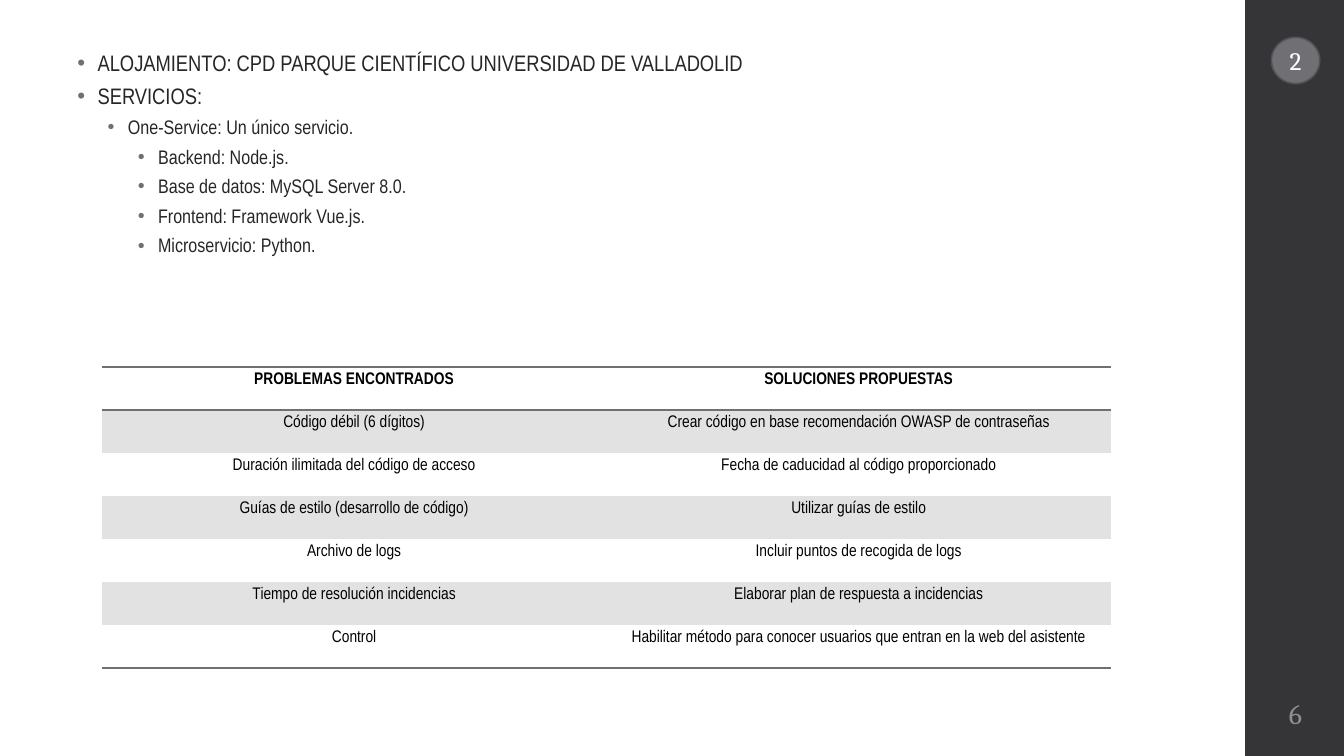
from typing import NamedTuple

from lxml import etree
from pptx import Presentation
from pptx.dml.color import RGBColor
from pptx.enum.shapes import MSO_SHAPE
from pptx.enum.text import MSO_ANCHOR, PP_ALIGN
from pptx.oxml.ns import qn
from pptx.util import Inches, Pt

CENTER = PP_ALIGN.CENTER
MIDDLE = MSO_ANCHOR.MIDDLE
RECTANGLE = MSO_SHAPE.RECTANGLE
OVAL = MSO_SHAPE.OVAL

SANS, SERIF = "Arial Narrow", "Cambria"
GREY, DARK, BAND = "6F6F74", "353537", "E2E2E2"
NO_GRID_STYLE = "{2D5ABB26-0587-4C30-8999-92F81FD0307C}"


class Bullet(NamedTuple):
    text: str
    level: int
    size: int


class Finding(NamedTuple):
    problem: str
    solution: str


BULLETS = [
    Bullet("ALOJAMIENTO: CPD PARQUE CIENTÍFICO UNIVERSIDAD DE VALLADOLID", 1, 16),
    Bullet("SERVICIOS:", 1, 16),
    Bullet("One-Service: Un único servicio.", 2, 14),
    Bullet("Backend: Node.js.", 3, 14),
    Bullet("Base de datos: MySQL Server 8.0.", 3, 14),
    Bullet("Frontend: Framework Vue.js.", 3, 14),
    Bullet("Microservicio: Python.", 3, 14),
]

FINDINGS = [
    Finding("PROBLEMAS ENCONTRADOS", "SOLUCIONES PROPUESTAS"),
    Finding("Código débil (6 dígitos)",
            "Crear código en base recomendación OWASP de contraseñas"),
    Finding("Duración ilimitada del código de acceso",
            "Fecha de caducidad al código proporcionado"),
    Finding("Guías de estilo (desarrollo de código)", "Utilizar guías de estilo"),
    Finding("Archivo de logs", "Incluir puntos de recogida de logs"),
    Finding("Tiempo de resolución incidencias",
            "Elaborar plan de respuesta a incidencias"),
    Finding("Control",
            "Habilitar método para conocer usuarios que entran en la web del asistente"),
]


def rgb(value: str) -> RGBColor:
    return RGBColor.from_string(value)


def set_font(para, name: str, size: float, color: str, bold: bool = False) -> None:
    font = para.font
    font.name, font.size, font.bold = name, Pt(size), bold
    font.color.rgb = rgb(color)


def add_filled_shape(page, kind, left: float, top: float, width: float,
                     height: float, fill: str):
    shape = page.shapes.add_shape(kind, Inches(left), Inches(top),
                                  Inches(width), Inches(height))
    shape.shadow.inherit = False
    shape.fill.solid()
    shape.fill.fore_color.rgb = rgb(fill)
    shape.line.fill.background()
    return shape


def write_number(frame, text: str, size: float, color: str) -> None:
    """Center a number in its frame, with narrow margins."""
    frame.word_wrap = True
    frame.vertical_anchor = MIDDLE
    frame.margin_left = frame.margin_right = Inches(0.05)
    para = frame.paragraphs[0]
    para.text = text
    para.alignment = CENTER
    set_font(para, SERIF, size, color)


def add_sidebar(page) -> None:
    add_filled_shape(page, RECTANGLE, 12.35, 0, 1, 7.5, DARK)
    box = page.shapes.add_textbox(Inches(12.35), Inches(6.75), Inches(1), Inches(0.65))
    write_number(box.text_frame, "6", 20, "8E8E94")
    badge = add_filled_shape(page, OVAL, 12.61, 0.37, 0.48, 0.46, GREY)
    badge.line.color.rgb = rgb("525256")
    badge.line.width = Pt(1.1)
    write_number(badge.text_frame, "2", 18, "FFFFFF")


def set_bullet(para, level: int) -> None:
    properties = para._p.get_or_add_pPr()
    properties.set("marL", str(Inches(0.2 + 0.3 * level)))
    properties.set("indent", str(Inches(-0.2)))
    color = etree.SubElement(properties, qn("a:buClr"))
    etree.SubElement(color, qn("a:srgbClr"), val=GREY)
    etree.SubElement(properties, qn("a:buFont"), typeface="Arial")
    etree.SubElement(properties, qn("a:buChar"), char="•")


def add_bullets(page) -> None:
    box = page.shapes.add_textbox(Inches(0.37), Inches(0.47), Inches(11.3), Inches(2.72))
    frame = box.text_frame
    frame.word_wrap = True
    for index, bullet in enumerate(BULLETS):
        para = frame.add_paragraph() if index else frame.paragraphs[0]
        para.text = bullet.text
        para.level = bullet.level - 1
        set_bullet(para, bullet.level)
        para.line_spacing = 0.9
        para.space_before = Pt(3 if index else 0)
        para.space_after = Pt(3)
        set_font(para, SANS, bullet.size, "262626")


def add_border(cell, side: str) -> None:
    line = etree.SubElement(cell._tc.get_or_add_tcPr(), qn(f"a:{side}"), w=str(Pt(1)))
    fill = etree.SubElement(line, qn("a:solidFill"))
    etree.SubElement(fill, qn("a:srgbClr"), val=GREY)


def add_findings_table(page) -> None:
    rows = len(FINDINGS)
    frame = page.shapes.add_table(rows, 2, Inches(1.01), Inches(3.64),
                                  Inches(10.01), Inches(2.99))
    table = frame.table
    table._tbl.tblPr.find(qn("a:tableStyleId")).text = NO_GRID_STYLE
    for row, finding in enumerate(FINDINGS):
        for column, text in enumerate(finding):
            cell = table.cell(row, column)
            if row == 0:
                add_border(cell, "lnT")
            if row in (0, rows - 1):
                add_border(cell, "lnB")
            if row % 2:
                cell.fill.solid()
                cell.fill.fore_color.rgb = rgb(BAND)
            else:
                cell.fill.background()
            para = cell.text_frame.paragraphs[0]
            para.text = text
            para.alignment = CENTER
            set_font(para, SANS, 12, "000000", bold=row == 0)


def main() -> None:
    deck = Presentation()
    deck.slide_width, deck.slide_height = Inches(13.33), Inches(7.5)
    page = deck.slides.add_slide(deck.slide_layouts.get_by_name("Blank"))
    add_sidebar(page)
    add_bullets(page)
    add_findings_table(page)
    deck.save("out.pptx")


if __name__ == "__main__":
    main()
